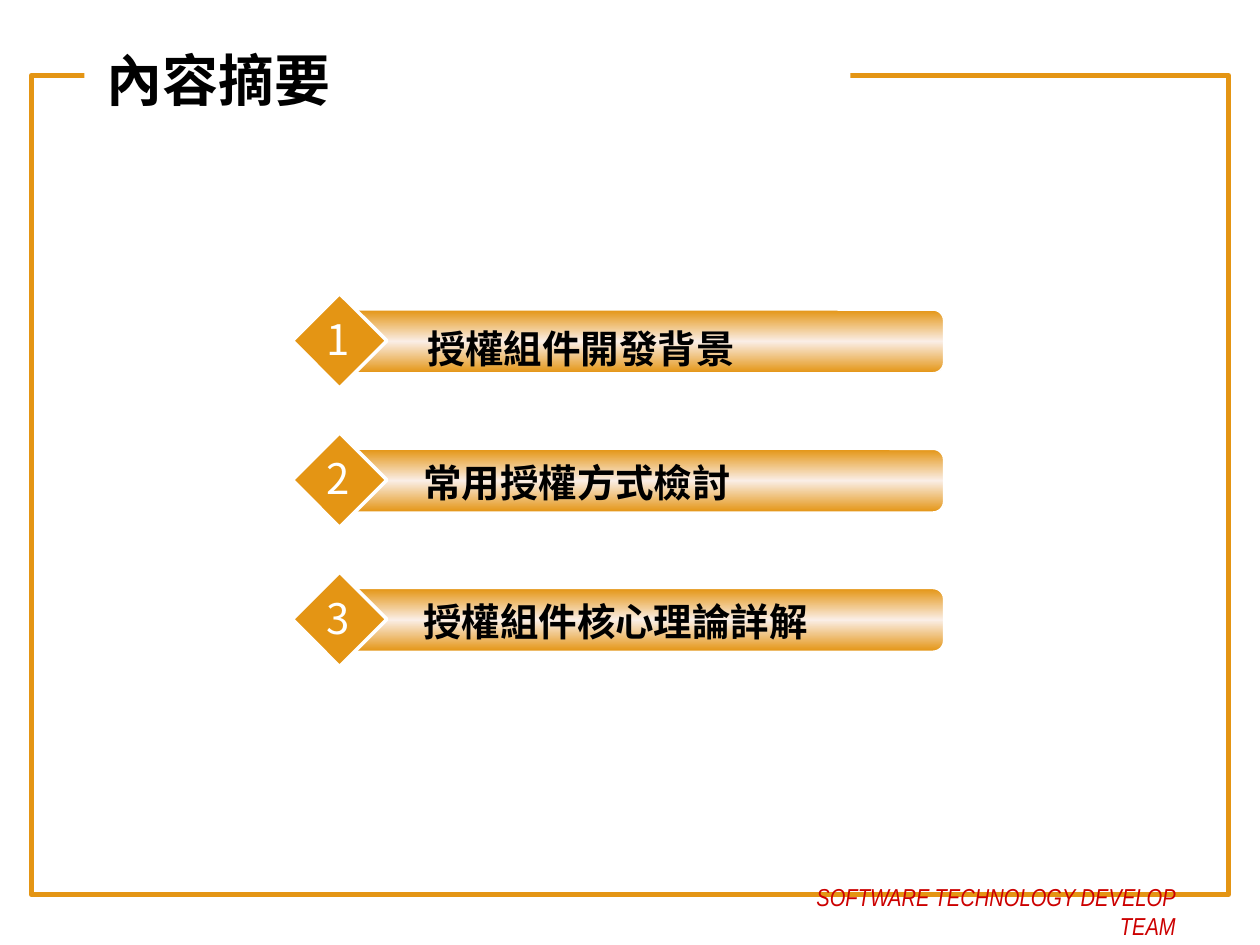
from copy import deepcopy

from pptx import Presentation
from pptx.dml.color import RGBColor
from pptx.enum.shapes import MSO_SHAPE
from pptx.enum.text import MSO_ANCHOR, PP_ALIGN
from pptx.oxml.ns import qn
from pptx.util import Inches, Pt

RECT, ROUND, DIAMOND = MSO_SHAPE.RECTANGLE, MSO_SHAPE.ROUNDED_RECTANGLE, MSO_SHAPE.DIAMOND
LEFT, CENTER, RIGHT = PP_ALIGN.LEFT, PP_ALIGN.CENTER, PP_ALIGN.RIGHT
TOP, MIDDLE = MSO_ANCHOR.TOP, MSO_ANCHOR.MIDDLE

COLORS = {"orange": "E49514", "cream": "FAEEE6", "white": "FFFFFF",
          "black": "000000", "red": "CC0000"}
CJK = "Noto Sans CJK SC"
COLS, ROWS = 100, 75  # grid over the whole slide


def rgb(name):
    return RGBColor.from_string(COLORS[name])


class Deck:
    def __init__(self):
        self.prs = Presentation()
        self.prs.slide_width, self.prs.slide_height = Inches(10), Inches(7.5)
        self.s = self.prs.slides.add_slide(self.prs.slide_layouts[6])
        self.shapes = self.s.shapes

    def box(self, x, y, w, h):
        col, row = self.prs.slide_width / COLS, self.prs.slide_height / ROWS
        return [round(v) for v in (x * col, y * row, w * col, h * row)]

    def group(self):
        """Send the following elements into a new group."""
        self.shapes = self.s.shapes.add_group_shape().shapes

    def shape(self, kind, area, fill=None, line=None, width=1):
        sp = self.shapes.add_shape(kind, *self.box(*area))
        sp.shadow.inherit = False
        if fill:
            sp.fill.solid()
            sp.fill.fore_color.rgb = rgb(fill)
        else:
            sp.fill.background()
        if line:
            sp.line.color.rgb = rgb(line)
            sp.line.width = Pt(width)
        else:
            sp.line.fill.background()
        return sp

    def bar(self, area, edge, middle):
        """Rounded bar, shaded from edge to middle and back."""
        sp = self.shape(ROUND, area, edge, "white", 1)
        sp.adjustments[0] = 0.17
        sp.fill.gradient()
        sp.fill.gradient_angle = 90
        stops = sp._element.spPr.find(qn("a:gradFill")).find(qn("a:gsLst"))
        stops.insert(1, deepcopy(stops[0]))
        for stop, place, color in zip(sp.fill.gradient_stops, (0, 0.5, 1), (edge, middle, edge)):
            stop.position = place
            stop.color.rgb = rgb(color)

    def text(self, area, words, size, font, color, align=LEFT, anchor=TOP,
             bold=False, italic=False, wrap=True, inset=(1, 0.5)):
        sp = self.shapes.add_textbox(*self.box(*area))
        tf = sp.text_frame
        tf.word_wrap = wrap
        tf.vertical_anchor = anchor
        tf.margin_left, tf.margin_top = self.box(*inset, 0, 0)[:2]
        p = tf.paragraphs[0]
        p.alignment = align
        r = p.add_run()
        r.text = words
        r.font.size, r.font.name = Pt(size), font
        r.font.bold, r.font.italic = bold, italic
        r.font.color.rgb = rgb(color)

    def item(self, number, words, y, inset):
        """Numbered diamond with its bar; y is the top of the diamond."""
        self.group()
        self.bar((27.4, y + 1.3, 47.5, 5), "orange", "cream")
        self.shape(DIAMOND, (23.2, y, 7.5, 7.5), "orange", "white", 2)
        self.text((29.9, y + 1.6, 42.8, 4.7), words, 22, "Arial", "black",
                  bold=True, inset=inset)
        self.text((24.9, y + 1.1, 3.9, 5), str(number), 24, CJK, "white",
                  align=CENTER, wrap=False)


def main():
    deck = Deck()

    # Frame with a gap for the title
    deck.shape(RECT, (2.5, 6, 95, 65), line="orange", width=3)
    deck.shape(RECT, (6.7, 1.7, 60.8, 11.9), fill="white")

    # Title and footer
    deck.text((7.5, 3.2, 50.8, 6.2), "內容摘要", 32, CJK, "black", anchor=MIDDLE, bold=True)
    deck.text((62.6, 69.5, 31.7, 2.7), "SOFTWARE TECHNOLOGY DEVELOP TEAM", 14,
              "Arial Narrow", "red", align=RIGHT, italic=True)

    # Agenda; the first label sits slightly lower and further right
    items = [("授權組件開發背景", (4, 0.9)),
             ("常用授權方式檢討", (3.7, 0.5)),
             ("授權組件核心理論詳解", (3.7, 0.5))]
    for i, (words, inset) in enumerate(items):
        deck.item(i + 1, words, 23.3 + 11.05 * i, inset)

    deck.prs.save("out.pptx")


if __name__ == "__main__":
    main()
